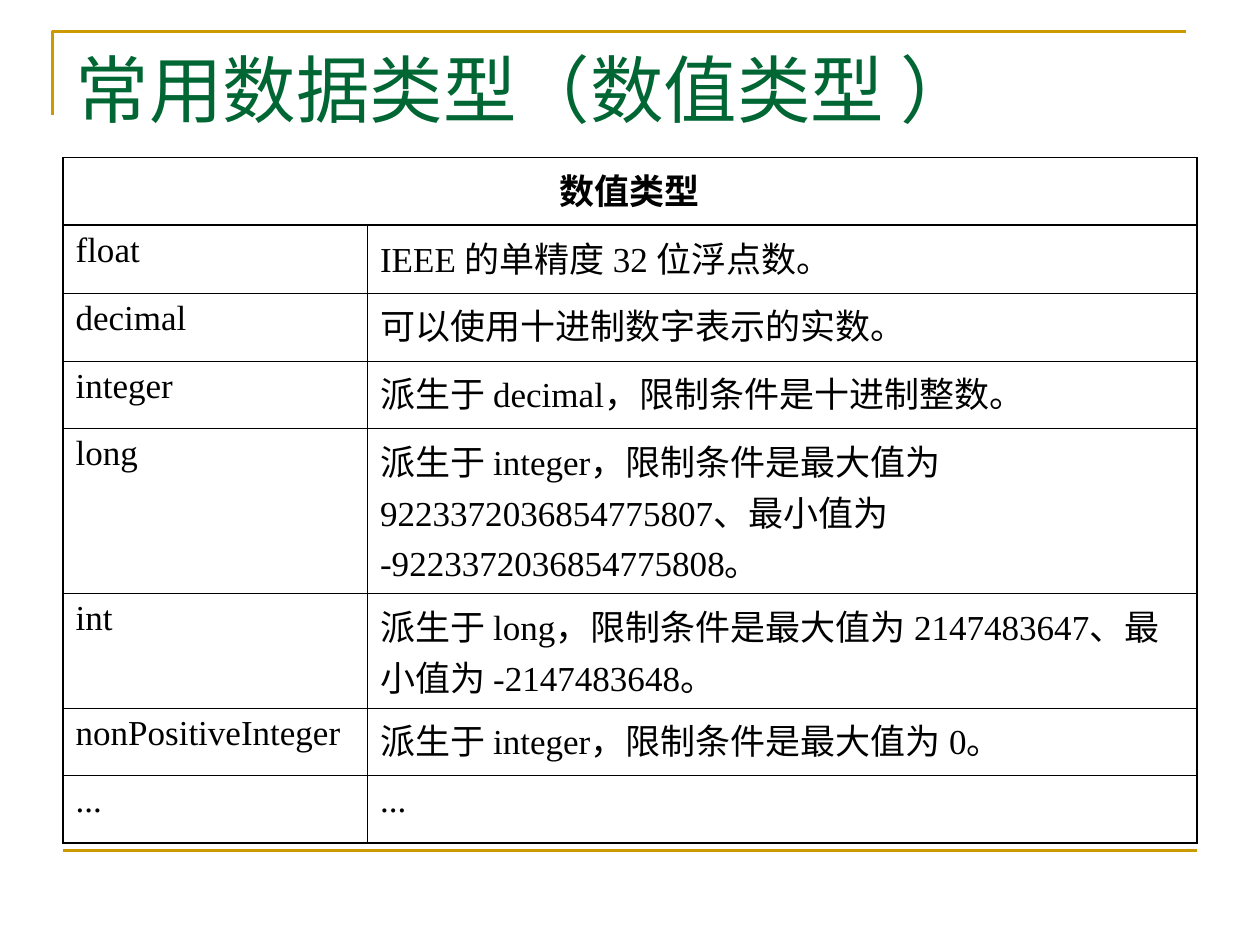
from lxml.etree import SubElement
from pptx import Presentation
from pptx.dml.color import RGBColor
from pptx.enum.shapes import MSO_CONNECTOR
from pptx.enum.text import MSO_ANCHOR, MSO_AUTO_SIZE, PP_ALIGN
from pptx.oxml import parse_xml
from pptx.oxml.ns import nsdecls, qn
from pptx.util import Pt

GOLD, GREEN, BLACK = "CC9900", "006633", "000000"
THICK, THIN = 0.96, 0.06
HANGING = 27


def color(hex_value):
    return RGBColor.from_string(hex_value)


def format_text(para, text, size, hex_value, bold=False):
    span = para.add_run()
    span.text = text
    values = {"name": "Times New Roman", "size": Pt(size), "bold": bold}
    for name, value in values.items():
        setattr(span.font, name, value)
    span.font.color.rgb = color(hex_value)


deck = Presentation()
deck.slide_width, deck.slide_height = Pt(720), Pt(540)
page = deck.slides.add_slide(deck.slide_layouts[5])

# Gold corner and bottom rule
builder = page.shapes.build_freeform(Pt(30), Pt(66))
builder.add_line_segments([(Pt(30), Pt(18)), (Pt(678), Pt(18))], close=False)
corner = builder.convert_to_shape()
corner.fill.background()
corner.shadow.inherit = False
rule = page.shapes.add_connector(
    MSO_CONNECTOR.STRAIGHT, Pt(36), Pt(486), Pt(684), Pt(486))
SubElement(rule._element.spPr, qn("a:effectLst"))
for stroke in (corner, rule):
    stroke.line.color.rgb = color(GOLD)
    stroke.line.width = Pt(1.5)

# Title, in front of the rules
title = page.shapes.title
page.shapes._spTree.append(title._element)
place = {"left": 36, "top": 21.6, "width": 648, "height": 90}
for name, value in place.items():
    setattr(title, name, Pt(value))
frame = title.text_frame
frame_format = {"vertical_anchor": MSO_ANCHOR.TOP, "word_wrap": True,
                "auto_size": MSO_AUTO_SIZE.NONE}
for name, value in frame_format.items():
    setattr(frame, name, value)
frame.paragraphs[0].alignment = PP_ALIGN.LEFT
format_text(frame.paragraphs[0], "常用数据类型（数值类型 ）", 42, GREEN)

# Table of numeric types
rows = [
    ("数值类型", ""),
    ("float", "IEEE 的单精度 32 位浮点数。"),
    ("decimal", "可以使用十进制数字表示的实数。"),
    ("integer", "派生于 decimal，限制条件是十进制整数。"),
    ("long", "派生于 integer，限制条件是最大值为 9223372036854775807、"
             "最小值为 -9223372036854775808。"),
    ("int", "派生于 long，限制条件是最大值为 2147483647、最小值为 -2147483648。"),
    ("nonPositiveInteger", "派生于 integer，限制条件是最大值为 0。"),
    ("...", "..."),
]
column_widths = [174, 474]
row_heights = [38.7] * 4 + [79.2, 62.6] + [38.7] * 2
wrapped_rows = (4, 5)
last_row = len(rows) - 1

table = page.shapes.add_table(
    len(rows), 2, Pt(36), Pt(90), Pt(sum(column_widths)),
    Pt(sum(row_heights))).table
table.first_row = table.horz_banding = False
for column, width in zip(table.columns, column_widths):
    column.width = Pt(width)
for row, height in zip(table.rows, row_heights):
    row.height = Pt(height)
table.cell(0, 0).merge(table.cell(0, 1))

for row_index, texts in enumerate(rows):
    header = row_index == 0
    for column_index, text in enumerate(texts):
        cell = table.cell(row_index, column_index)

        # Thick frame and header, hairlines inside
        thick_sides = {
            "L": header or column_index == 0,
            "R": header or column_index == 1,
            "T": row_index <= 1,
            "B": header or row_index == last_row,
        }
        cell_format = cell._tc.get_or_add_tcPr()
        for side, thick in thick_sides.items():
            width = Pt(THICK if thick else THIN)
            cell_format.append(parse_xml(
                f'<a:ln{side} {nsdecls("a")} w="{width}"><a:solidFill>'
                f'<a:srgbClr val="{BLACK}"/></a:solidFill></a:ln{side}>'))
        cell.fill.background()

        if not text:
            continue
        para = cell.text_frame.paragraphs[0]
        para.alignment = PP_ALIGN.CENTER if header else PP_ALIGN.LEFT
        if column_index == 0 or row_index not in wrapped_rows:
            indents = para._p.get_or_add_pPr()
            indents.set("marL", str(Pt(HANGING)))
            indents.set("indent", str(-Pt(HANGING)))
        format_text(para, text, 20, BLACK, bold=header)

deck.save("out.pptx")
